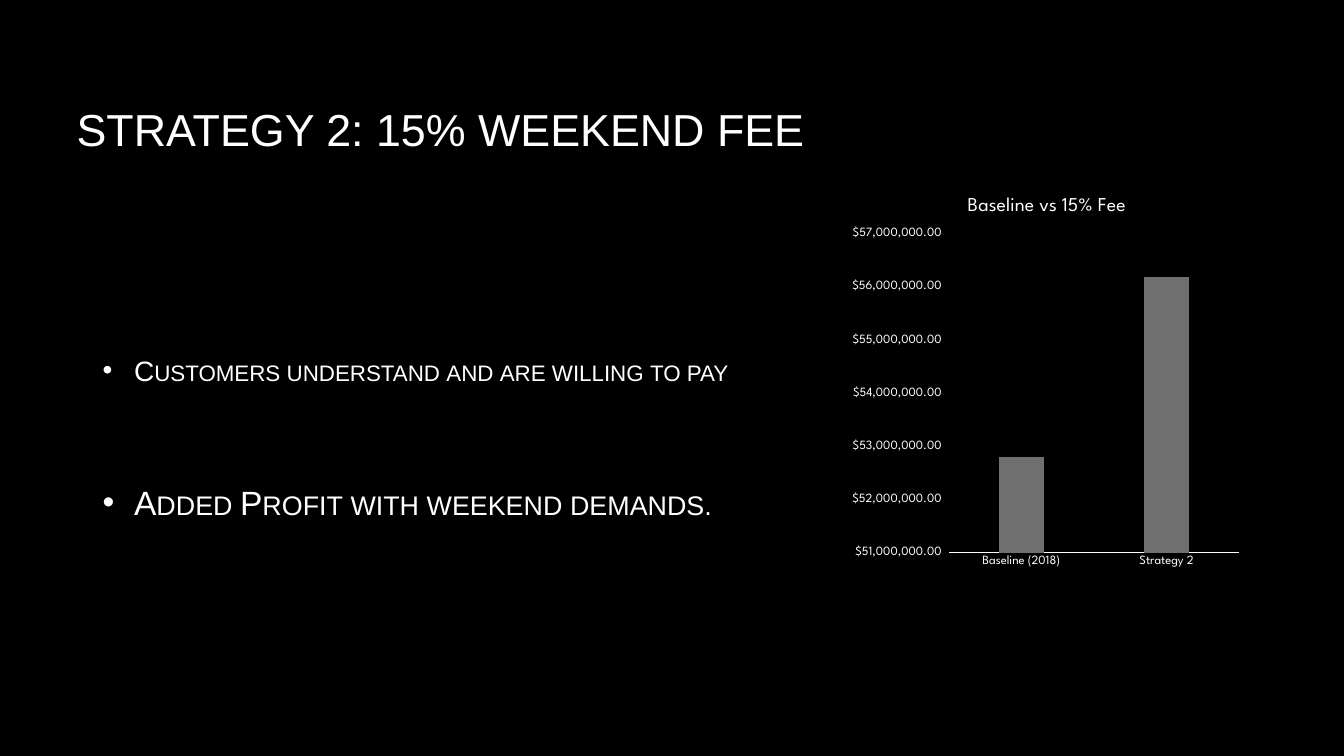
from dataclasses import dataclass
from lxml import etree
from pptx import Presentation
from pptx.chart.data import CategoryChartData
from pptx.dml.color import RGBColor
from pptx.enum.chart import XL_CHART_TYPE, XL_TICK_MARK
from pptx.enum.text import MSO_ANCHOR, PP_ALIGN
from pptx.oxml import parse_xml
from pptx.oxml.ns import nsdecls, qn
from pptx.util import Cm, Pt

COLUMN = XL_CHART_TYPE.COLUMN_CLUSTERED
NO_TICK = XL_TICK_MARK.NONE
MIDDLE = MSO_ANCHOR.MIDDLE
LEFT = PP_ALIGN.LEFT


@dataclass
class Theme:
    back: RGBColor = RGBColor(0, 0, 0)
    ink: RGBColor = RGBColor(255, 255, 255)
    bar: RGBColor = RGBColor(0x6F, 0x6F, 0x6F)
    font: str = "Arial"
    face: str = "League Spartan"
    head: int = 32
    title: int = 14
    base: int = 10
    tick: int = 9


THEME = Theme()
HEAD = ("STRATEGY 2: 15% WEEKEND FEE", (1.68, 1.4, 30.5, 3.68))
POINTS = [
    ("Customers understand and are willing to pay", 20, 8.61, 0.13),
    ("Added Profit with weekend demands.", 24, 12.47, 1.2),
]
POINT_X, POINT_W, POINT_H, HANG = 2.34, 16.92, 1.45, 0.79
CHART = {
    "title": "Baseline vs 15% Fee",
    "cats": ["Baseline (2018)", "Strategy 2"],
    "vals": [52800000, 56200000],
    "box": (21.23, 4.5, 10.31, 10.03),
    "plot": {"x": 0.26, "y": 0.14, "w": 0.71, "h": 0.8},
}


def style(font, size, face):
    font.size, font.name, font.bold = Pt(size), face, False
    font.color.rgb = THEME.ink


def add_text(slide, text, size, box):
    frame = slide.shapes.add_textbox(*map(Cm, box)).text_frame
    frame.word_wrap = True
    frame.vertical_anchor = MIDDLE
    para = frame.paragraphs[0]
    para.alignment = LEFT
    run = para.add_run()
    run.text = text
    style(run.font, size, THEME.font)
    return frame, para, run


def add_point(slide, text, size, top, foot):
    box = (POINT_X, top, POINT_W, POINT_H)
    frame, para, run = add_text(slide, text, size, box)
    frame.margin_bottom = Cm(foot)
    para.space_after = Pt(6)
    props = para._p.get_or_add_pPr()
    props.set("marL", str(Cm(HANG)))
    props.set("indent", str(-Cm(HANG)))
    font = etree.SubElement(props, qn("a:buFont"))
    font.set("typeface", THEME.font)
    etree.SubElement(props, qn("a:buChar")).set("char", "•")
    run._r.get_or_add_rPr().set("cap", "small")


def set_plot(chart, plot):
    sizes = "".join(f'<c:{key} val="{val}"/>' for key, val in plot.items())
    area = chart._chartSpace.chart.plotArea
    for old in area.findall(qn("c:layout")):
        area.remove(old)
    area.insert(0, parse_xml(
        f'<c:layout {nsdecls("c")}><c:manualLayout>'
        '<c:layoutTarget val="inner"/><c:xMode val="edge"/><c:yMode val="edge"/>'
        f'{sizes}</c:manualLayout></c:layout>'))


def add_chart(slide):
    data = CategoryChartData()
    data.categories = CHART["cats"]
    data.add_series("Series 1", CHART["vals"])
    chart = slide.shapes.add_chart(COLUMN, *map(Cm, CHART["box"]), data).chart
    style(chart.font, THEME.base, THEME.face)
    chart.has_legend = False
    chart.has_title = True
    run = chart.chart_title.text_frame.paragraphs[0].add_run()
    run.text = CHART["title"]
    style(run.font, THEME.title, THEME.face)
    chart.chart_title.include_in_layout = False

    cat, val = chart.category_axis, chart.value_axis
    for axis in (cat, val):
        axis.major_tick_mark = axis.minor_tick_mark = NO_TICK
        axis.has_major_gridlines = False
        style(axis.tick_labels.font, THEME.tick, THEME.face)
    cat.format.line.color.rgb = THEME.ink
    cat.format.line.width = Pt(0.75)
    val.format.line.fill.background()
    val.minimum_scale, val.maximum_scale = 51000000, 57000000
    val.major_unit = 1000000
    val.tick_labels.number_format = '_("$"* #,##0.00_)'
    val.tick_labels.number_format_is_linked = False

    plot = chart.plots[0]
    plot.vary_by_categories = False
    plot.gap_width, plot.overlap = 219, -27
    fill = plot.series[0].format.fill
    fill.solid()
    fill.fore_color.rgb = THEME.bar
    set_plot(chart, CHART["plot"])


def main():
    deck = Presentation()
    deck.slide_width, deck.slide_height = Cm(33.87), Cm(19.05)
    slide = deck.slides.add_slide(deck.slide_layouts[6])
    slide.background.fill.solid()
    slide.background.fill.fore_color.rgb = THEME.back
    text, box = HEAD
    add_text(slide, text, THEME.head, box)
    for point in POINTS:
        add_point(slide, *point)
    add_chart(slide)
    deck.save("out.pptx")


if __name__ == "__main__":
    main()
